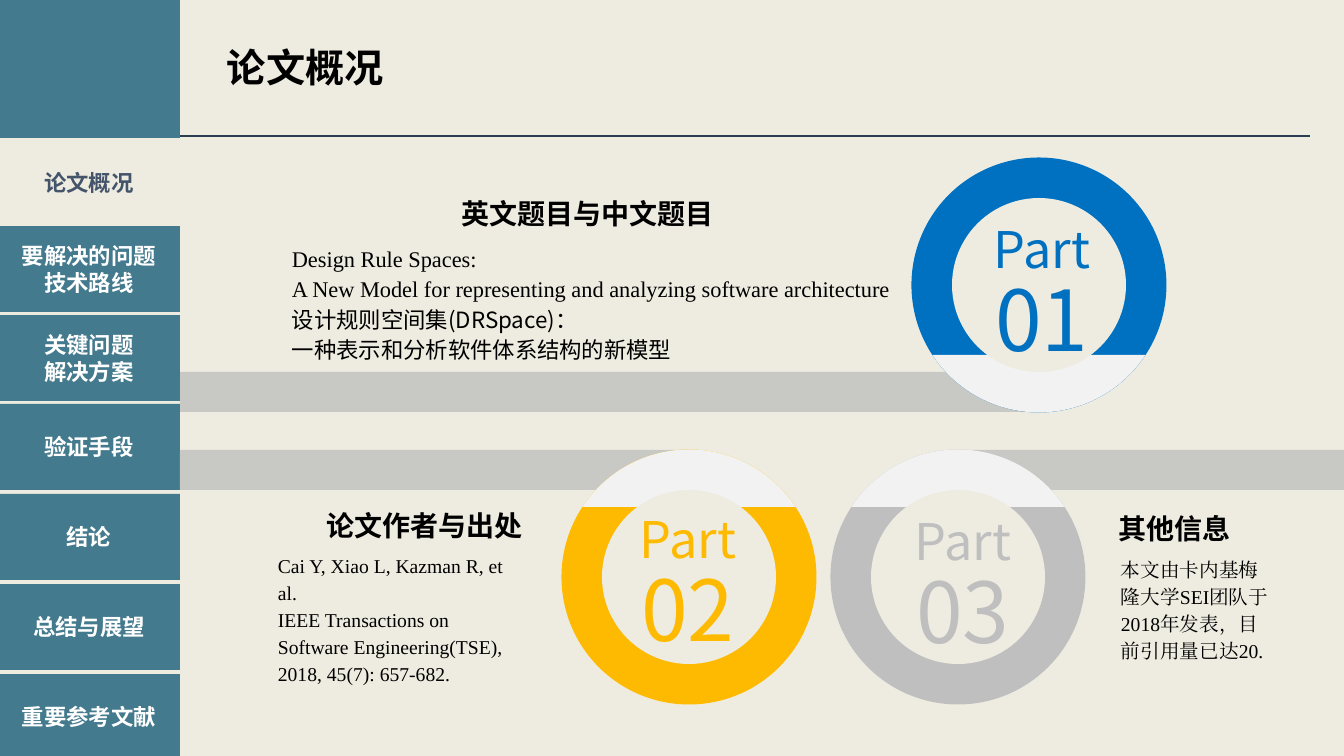
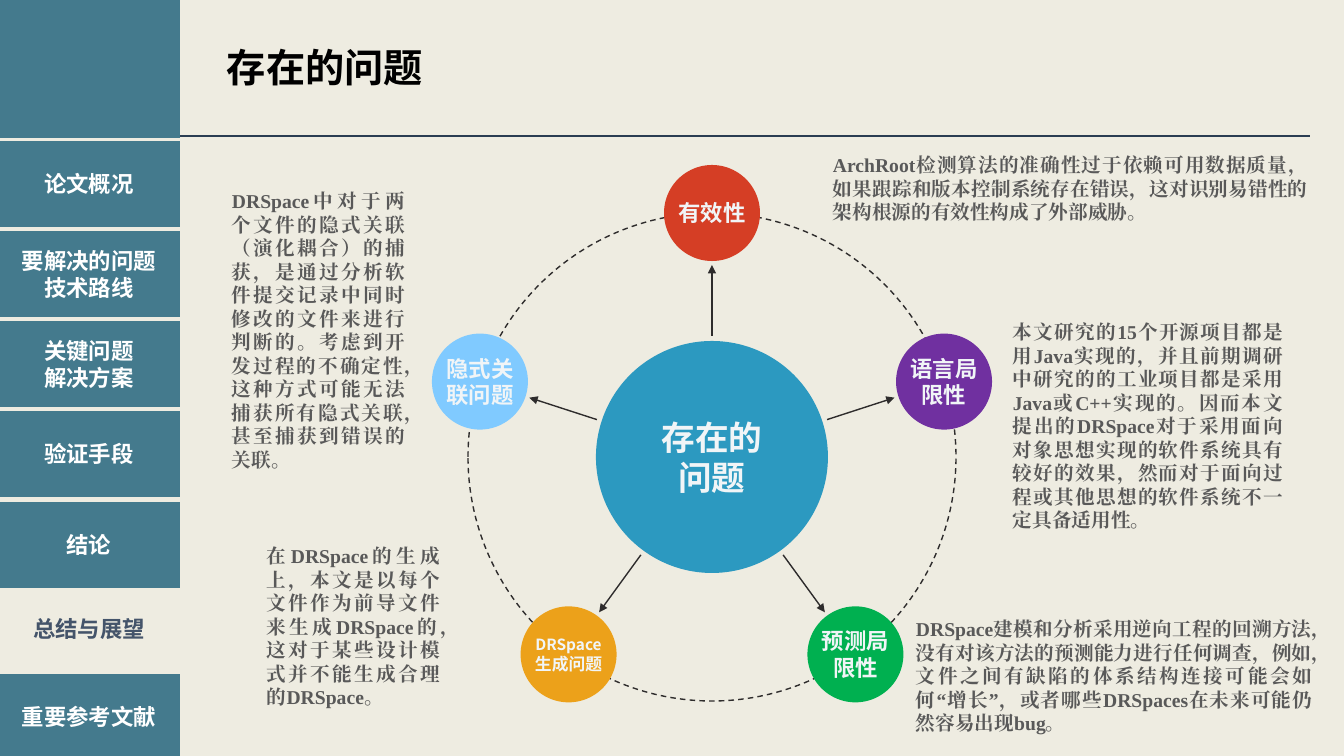
from math import asin, cos, degrees, radians, sin

from lxml.etree import SubElement
from pptx import Presentation
from pptx.dml.color import RGBColor
from pptx.enum.dml import MSO_LINE
from pptx.enum.shapes import MSO_CONNECTOR, MSO_SHAPE
from pptx.enum.text import MSO_ANCHOR, PP_ALIGN
from pptx.oxml.ns import qn
from pptx.util import Emu, Pt

PX = 12192000 / 1344
SANS, SERIF = "Noto Sans CJK SC", "Times New Roman"
PAPER, TEAL, NAVY, RULE = "EEECE1", "447A8D", "44546A", "2A3D52"
BLACK, WHITE, GREY, PALE = "000000", "FFFFFF", "BFBFBF", "F2F2F2"
INK, BODY, LABEL, HUB = "2E2C2C", "595959", "F1F5F7", "2C99C0"
LEFT, CENTER, RIGHT, JUSTIFY = PP_ALIGN.LEFT, PP_ALIGN.CENTER, PP_ALIGN.RIGHT, PP_ALIGN.JUSTIFY

MENU = [
    ["论文概况"],
    ["要解决的问题", "技术路线"],
    ["关键问题", "解决方案"],
    ["验证手段"],
    ["结论"],
    ["总结与展望"],
    ["重要参考文献"],
]
OVERVIEW = {"title": "论文概况", "active": 0, "tops": [140, 226, 315, 404, 494, 584, 674]}
PROBLEMS = {"title": "存在的问题", "active": 5, "tops": [141, 231, 321, 411, 502, 586, 674]}

BARS = [(180, 372, 867, 40), (180, 450, 507, 40), (950, 450, 394, 40)]
RING_OUTER, RING_INNER, RING_CUT = 255, 174, 70
RINGS = [
    ("01", "0070C0", 1039, 285, "bottom", (982, 220)),
    ("02", "FEBA01", 689, 577, "top", (628, 510)),
    ("03", GREY, 958, 577, "top", (903, 512)),
]
HEADINGS = [
    ("英文题目与中文题目", (439, 192, 285, 44), RIGHT),
    ("其他信息", (1032, 507, 285, 44), CENTER),
    ("论文作者与出处", (282, 504, 285, 44), CENTER),
]
DETAILS = [
    ((282, 236, 733, 132), 16, [
        ("Design Rule Spaces:", SERIF),
        ("A New Model for representing and analyzing software architecture", SERIF),
        ("设计规则空间集(DRSpace)：", SANS),
        ("一种表示和分析软件体系结构的新模型", SANS),
    ]),
    ((1111, 550, 169, 117), 14, [
        ("本文由卡内基梅隆大学SEI团队于2018年发表，目前引用量已达20.", SERIF),
    ]),
    ((268, 546, 267, 117), 14, [
        ("Cai Y, Xiao L, Kazman R, et al.", SERIF),
        ("IEEE Transactions on Software Engineering(TSE), 2018, 45(7): 657-682.", SERIF),
    ]),
]

HUB_X, HUB_Y, HUB_SIZE, ORBIT, NODE_SIZE = 712, 457, 232, 244, 96
ARROW_START, ARROW_END = 121, 192
NODES = [
    ("D53E25", [("有效性", 16)]),
    ("7030A0", [("语言局", 16), ("限性", 16)]),
    ("00B050", [("预测局", 16), ("限性", 16)]),
    ("ECA11A", [("DRSpace", 11), ("生成问题", 12)]),
    ("80CAFF", [("隐式关", 16), ("联问题", 16)]),
]
NOTES = [
    ((823, 148, 495, 82), "ArchRoot检测算法的准确性过于依赖可用数据质量，如果跟踪和版本控制系统存在错误，这对识别易错性的架构根源的有效性构成了外部威胁。"),
    ((1003, 315, 290, 224), "本文研究的15个开源项目都是用Java实现的，并且前期调研中研究的的工业项目都是采用Java或C++实现的。因而本文提出的DRSpace对于采用面向对象思想实现的软件系统具有较好的效果，然而对于面向过程或其他思想的软件系统不一定具备适用性。"),
    ((906, 612, 416, 129), "DRSpace建模和分析采用逆向工程的回溯方法，没有对该方法的预测能力进行任何调查，例如，文件之间有缺陷的体系结构连接可能会如何“增长”，或者哪些DRSpaces在未来可能仍然容易出现bug。"),
    ((222, 184, 193, 295), "DRSpace中对于两个文件的隐式关联（演化耦合）的捕获，是通过分析软件提交记录中同时修改的文件来进行判断的。考虑到开发过程的不确定性，这种方式可能无法捕获所有隐式关联，甚至捕获到错误的关联。"),
    ((257, 539, 193, 176), "在DRSpace的生成上，本文是以每个文件作为前导文件来生成DRSpace的，这对于某些设计模式并不能生成合理的DRSpace。"),
]


def px(value):
    return Emu(round(value * PX))


def color(value):
    return RGBColor.from_string(value)


def write(frame, lines, ink, bold=False, align=LEFT, spacing=None, wrap=True):
    frame.word_wrap = wrap
    for index, (text, size, font) in enumerate(lines):
        para = frame.paragraphs[0] if index == 0 else frame.add_paragraph()
        para.alignment = align
        para.line_spacing = spacing
        span = para.add_run()
        span.text = text
        span.font.size, span.font.bold, span.font.name = Pt(size), bold, font
        span.font.color.rgb = color(ink)
        SubElement(span.font._element, qn("a:ea")).set("typeface", font)


def add_text(page, box, lines, ink, **style):
    frame = page.shapes.add_textbox(*map(px, box)).text_frame
    write(frame, lines, ink, **style)


def add_block(page, kind, box, fill, lines=(), ink=WHITE):
    shape = page.shapes.add_shape(kind, *map(px, box))
    shape.shadow.inherit = False
    shape.fill.solid()
    shape.fill.fore_color.rgb = color(fill)
    shape.line.fill.background()
    frame = shape.text_frame
    frame.vertical_anchor = MSO_ANCHOR.MIDDLE
    frame.margin_left = frame.margin_right = frame.margin_top = frame.margin_bottom = 0
    write(frame, lines, ink, bold=True, align=CENTER, wrap=False)
    return shape


def add_round(page, x, y, size, fill, lines=(), kind=MSO_SHAPE.OVAL):
    box = (x - size / 2, y - size / 2, size, size)
    return add_block(page, kind, box, fill, [(text, points, SANS) for text, points in lines], LABEL)


def add_line(page, start, end, ink, arrow=False):
    line = page.shapes.add_connector(MSO_CONNECTOR.STRAIGHT, *map(px, start + end))
    line.line.color.rgb = color(ink)
    line.line.width = Pt(1)
    if arrow:
        SubElement(line.line._get_or_add_ln(), qn("a:tailEnd")).set("type", "triangle")
    SubElement(line._element.spPr, qn("a:effectLst"))


def add_frame(deck, title, active, tops):
    page = deck.slides.add_slide(deck.slide_layouts[6])
    add_line(page, (136, 136), (1310, 136), RULE)
    add_block(page, MSO_SHAPE.RECTANGLE, (-2, -3, 182, 141), TEAL)
    for index in sorted(range(len(MENU)), key=lambda item: item != active):
        fill, ink = (PAPER, NAVY) if index == active else (TEAL, WHITE)
        lines = [(text, 16, SANS) for text in MENU[index]]
        add_block(page, MSO_SHAPE.RECTANGLE, (-2, tops[index], 182, 86), fill, lines, ink)
    add_text(page, (217, 38, 480, 57), [(title, 28, SANS)], BLACK, bold=True)
    return page


def add_ring(page, x, y, pale_side, fill):
    add_round(page, x, y, RING_OUTER, fill)
    cut = degrees(asin(2 * RING_CUT / RING_OUTER))
    angles = (cut, 180 - cut) if pale_side == "bottom" else (180 + cut, 360 - cut)
    cap = add_round(page, x, y, RING_OUTER, PALE, kind=MSO_SHAPE.CHORD)
    for index, angle in enumerate(angles):
        cap.adjustments[index] = angle * 60000 / 100000
    add_round(page, x, y, RING_INNER, PAPER)


def build_overview(deck):
    page = add_frame(deck, **OVERVIEW)
    for box in BARS:
        bar = add_block(page, MSO_SHAPE.RECTANGLE, box, GREY)
        tint = bar._element.spPr.find(qn("a:solidFill"))[0]
        SubElement(tint, qn("a:alpha")).set("val", "80000")
    for number, fill, x, y, pale_side, corner in RINGS:
        add_ring(page, x, y, pale_side, fill)
        lines = [("Part", 36, SANS), (number, 60, SANS)]
        add_text(page, corner + (120, 157), lines, fill, align=CENTER, spacing=0.9, wrap=False)
    for text, box, align in HEADINGS:
        add_text(page, box, [(text, 20, SANS)], BLACK, bold=True, align=align)
    for box, size, lines in DETAILS:
        add_text(page, box, [(text, size, font) for text, font in lines], BLACK, spacing=1.14)


def build_problems(deck):
    page = add_frame(deck, **PROBLEMS)
    add_round(page, HUB_X, HUB_Y, HUB_SIZE, HUB, [("存在的", 24), ("问题", 24)])
    orbit = add_round(page, HUB_X, HUB_Y, 2 * ORBIT, PAPER)
    orbit.fill.background()
    orbit.line.color.rgb = color(INK)
    orbit.line.width = Pt(1)
    orbit.line.dash_style = MSO_LINE.DASH
    for index, (fill, lines) in enumerate(NODES):
        angle = radians(360 / len(NODES) * index - 90)
        start, end, center = (
            (HUB_X + reach * cos(angle), HUB_Y + reach * sin(angle))
            for reach in (ARROW_START, ARROW_END, ORBIT))
        add_round(page, *center, NODE_SIZE, fill, lines)
        add_line(page, start, end, INK, arrow=True)
    for box, text in NOTES:
        add_text(page, box, [(text, 14, SERIF)], BODY, bold=True, align=JUSTIFY)


def main():
    deck = Presentation()
    deck.slide_width, deck.slide_height = px(1344), px(756)
    background = deck.slide_master.background.fill
    background.solid()
    background.fore_color.rgb = color(PAPER)
    build_overview(deck)
    build_problems(deck)
    deck.save("out.pptx")


if __name__ == "__main__":
    main()
